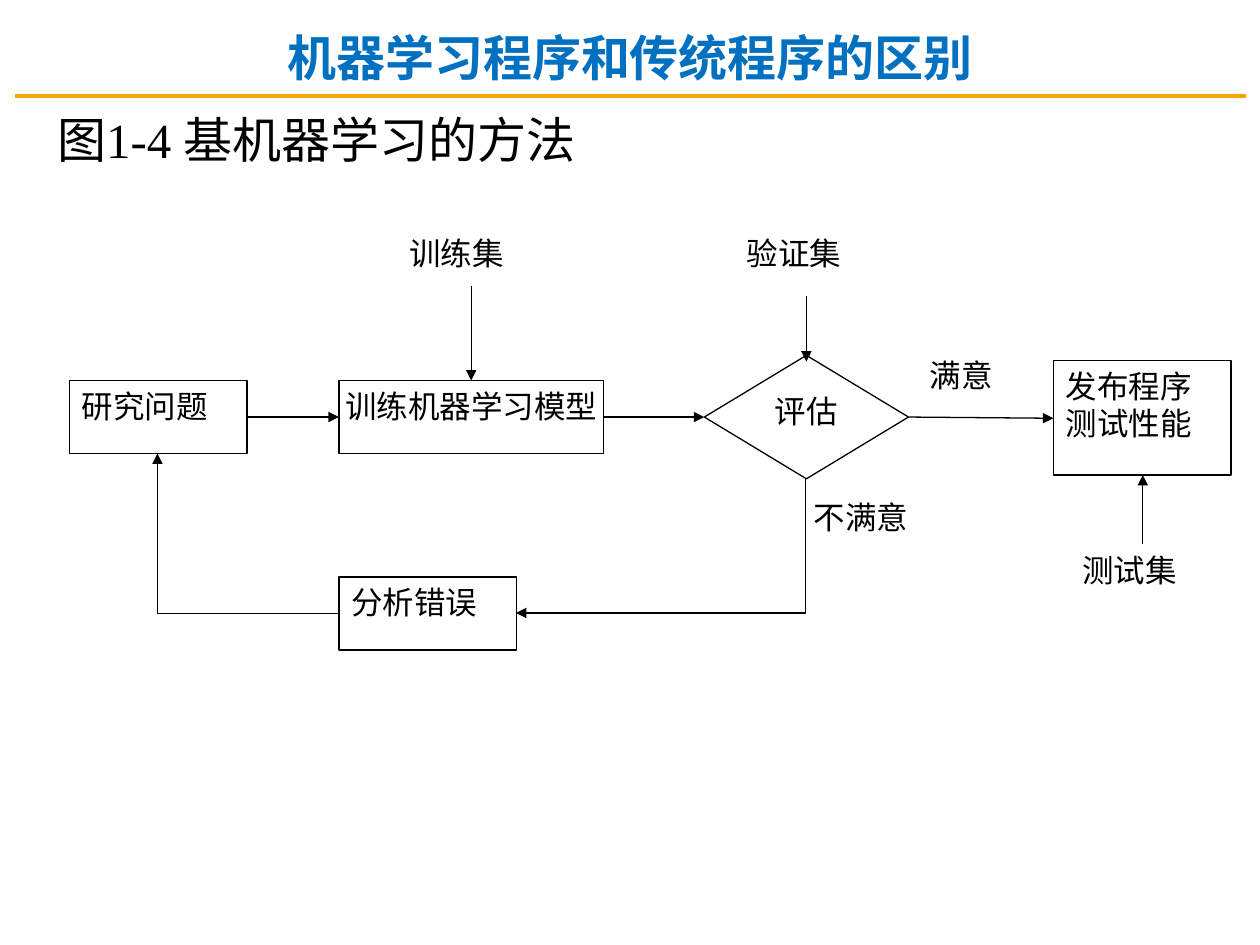
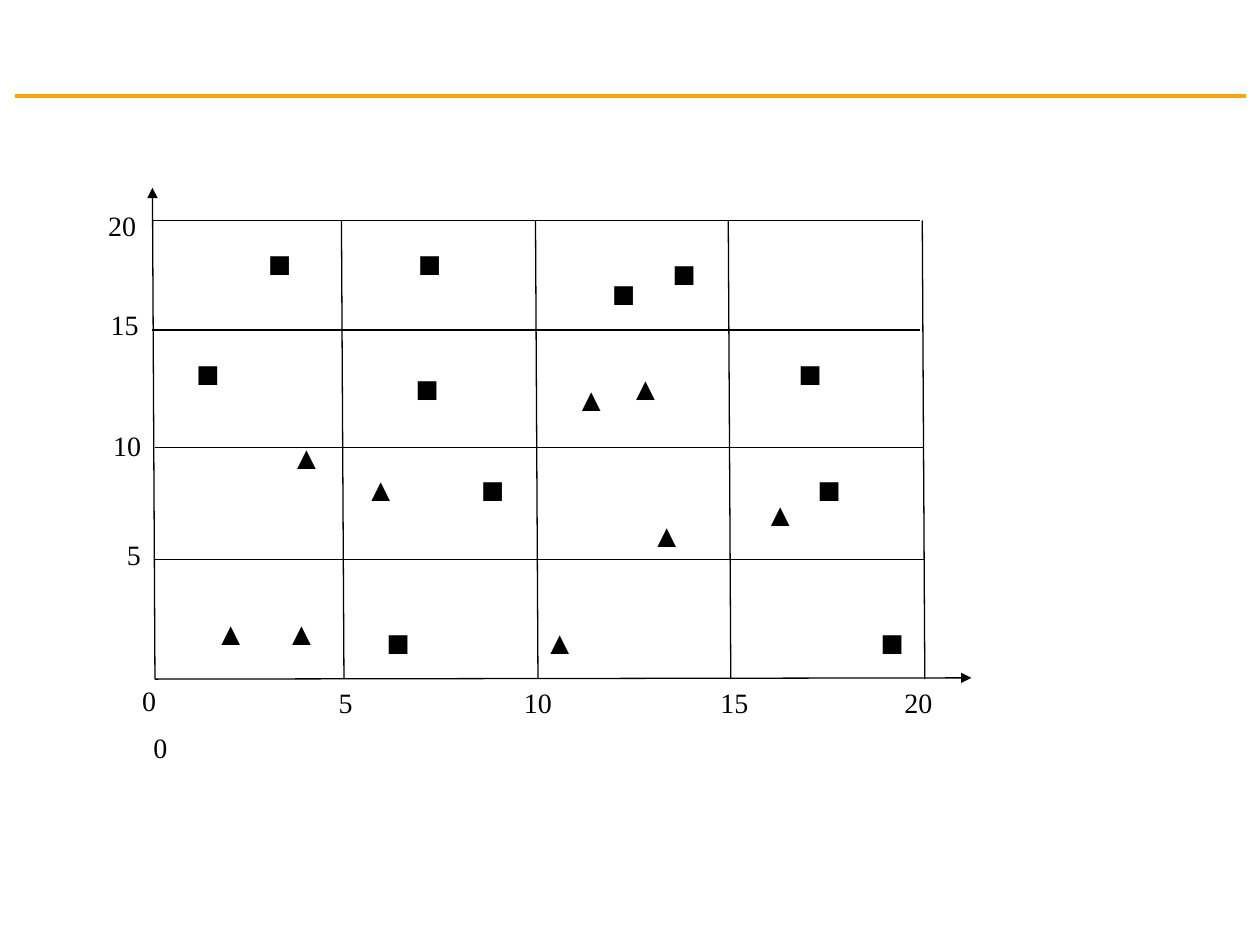
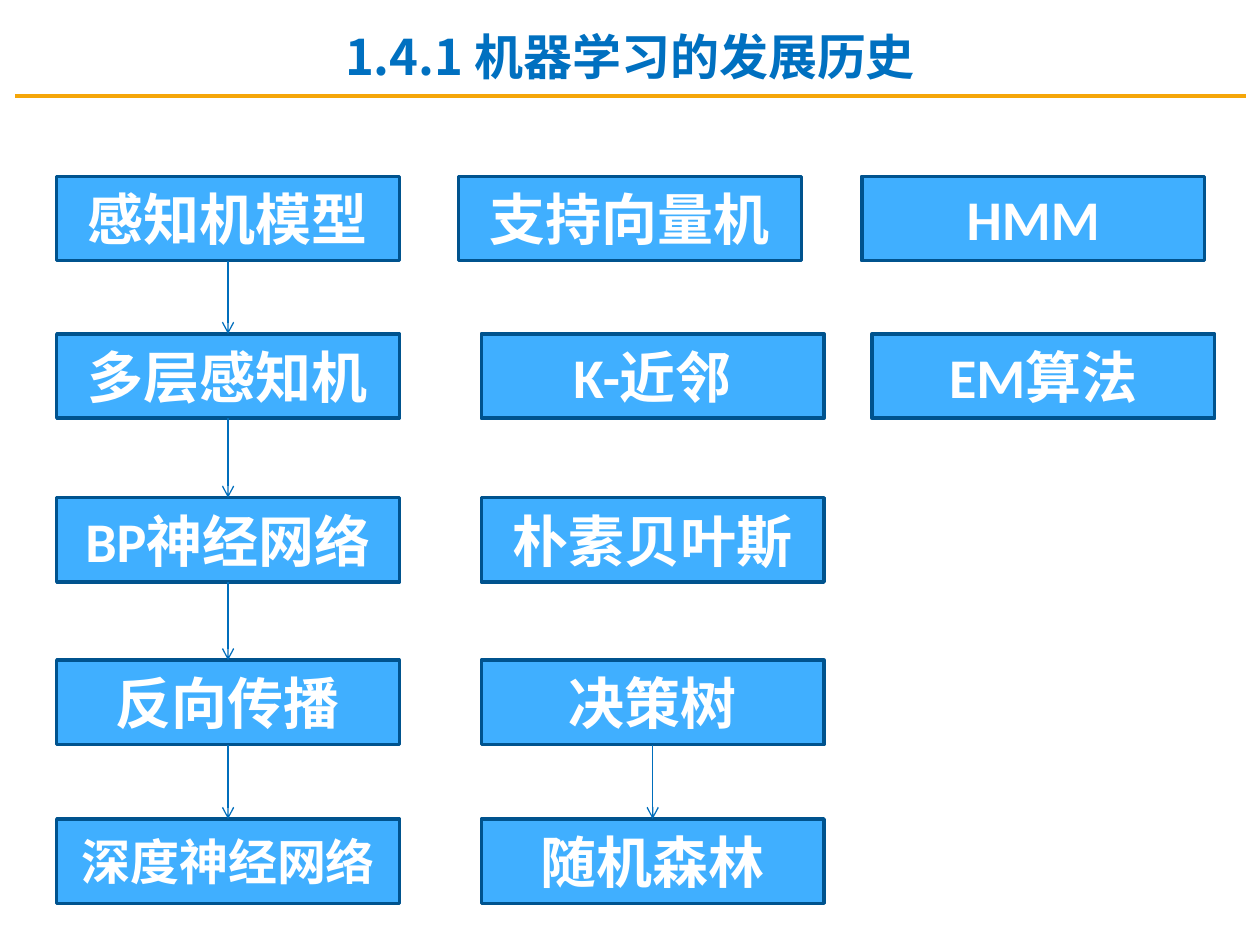
from pptx import Presentation
from pptx.dml.color import RGBColor
from pptx.enum.shapes import MSO_CONNECTOR, MSO_SHAPE
from pptx.enum.text import MSO_ANCHOR, PP_ALIGN
from pptx.oxml.ns import qn
from pptx.util import Inches, Pt
from lxml import etree

LEFT, CENTER = PP_ALIGN.LEFT, PP_ALIGN.CENTER
TOP, MIDDLE = MSO_ANCHOR.TOP, MSO_ANCHOR.MIDDLE
RECT, DIAMOND = MSO_SHAPE.RECTANGLE, MSO_SHAPE.DIAMOND
STRAIGHT, ELBOW = MSO_CONNECTOR.STRAIGHT, MSO_CONNECTOR.ELBOW
COLORS = {
    "rule": "F5A609", "title": "0070C0", "ink": "000000", "paper": "FFFFFF",
    "box": "40AFFF", "box_line": "00538E", "arrow": "006EBC",
}
CJK, SERIF, SANS = "Noto Sans CJK SC", "Times New Roman", "Calibri"

FLOW_TITLE = "机器学习程序和传统程序的区别"
FLOW_CAPTION = "图1-4 基机器学习的方法"
FLOW_BOXES = [
    ("研究问题", (0.55, 3.02, 1.41, 0.58), RECT, LEFT, 0.1),
    ("训练机器学习模型", (2.69, 3.02, 2.1, 0.58), RECT, CENTER, 0),
    ("分析错误", (2.69, 4.58, 1.41, 0.58), RECT, LEFT, 0.1),
    ("评估", (5.59, 2.82, 1.62, 0.98), DIAMOND, CENTER, 0.1),
    ("发布程序\v测试性能", (8.36, 2.86, 1.41, 0.91), RECT, LEFT, 0.1),
]
FLOW_LABELS = [
    ("满意", 7.28, 2.78), ("不满意", 6.36, 3.9), ("训练集", 3.15, 1.81),
    ("验证集", 5.83, 1.81), ("测试集", 8.49, 4.32),
]
FLOW_ARROWS = [
    (1.96, 3.31, 2.69, 3.31), (4.79, 3.31, 5.59, 3.31), (7.21, 3.31, 8.36, 3.32),
    (3.74, 2.27, 3.74, 3.02), (6.4, 2.35, 6.4, 2.87), (9.07, 4.32, 9.07, 3.77),
]
FLOW_ELBOWS = [((4.71, 3.18, 5.78, 5.48), 90), ((2.69, 4.87, 1.25, 3.6), 0)]

AXES = [(1.23, 5.39, 7.71, 5.38), (1.23, 5.39, 1.21, 1.49)]
GRID_X = [2.73, 4.27, 5.8, 7.34]
GRID_ROWS = [(1.23, 7.34, 4.44), (1.23, 7.33, 3.55), (1.21, 7.3, 2.62), (1.21, 7.3, 1.75)]
TICKS = [
    ("0", 1.12, 5.75), ("0", 1.03, 5.38),
    ("5", 2.59, 5.39), ("10", 4.06, 5.39), ("15", 5.62, 5.39), ("20", 7.08, 5.39),
    ("5", 0.91, 4.22), ("10", 0.8, 3.35), ("15", 0.78, 2.39), ("20", 0.76, 1.61),
]
MARKERS = {
    "■": [(2.03, 1.92), (1.46, 2.79), (2.97, 4.93), (3.22, 1.92), (3.72, 3.71), (3.2, 2.91),
          (4.76, 2.16), (5.24, 2), (6.39, 3.71), (6.24, 2.79), (6.89, 4.93)],
    "▲": [(1.66, 4.86), (2.22, 4.86), (2.26, 3.46), (2.85, 3.71), (4.27, 4.93), (4.52, 3),
          (4.95, 2.91), (5.12, 4.08), (6.02, 3.91)],
}

HISTORY_TITLE = "1.4.1 机器学习的发展历史"
BOX_W, BOX_H = 2.72, 0.67
ROW_Y = [1.4, 2.65, 3.95, 5.24, 6.5]
HISTORY = [
    ("感知机模型", 0.45, 0, 32), ("多层感知机", 0.45, 1, 32), ("BP神经网络", 0.45, 2, 32),
    ("反向传播", 0.45, 3, 32), ("深度神经网络", 0.45, 4, 28),
    ("支持向量机", 3.64, 0, 32), ("K-近邻", 3.82, 1, 32), ("朴素贝叶斯", 3.82, 2, 32),
    ("决策树", 3.82, 3, 32), ("随机森林", 3.82, 4, 32),
    ("HMM", 6.84, 0, 32), ("EM算法", 6.92, 1, 32),
]
HISTORY_ARROWS = [(0.45, row) for row in range(4)] + [(3.82, 3)]


def rgb(name):
    return RGBColor.from_string(COLORS[name])


def write(shape, text, size, font, color="ink", bold=False, align=LEFT, anchor=TOP):
    tf = shape.text_frame
    tf.word_wrap = True
    tf.vertical_anchor = anchor
    tf.text = text
    for p in tf.paragraphs:
        p.alignment = align
        for r in p.runs:
            r.font.size = Pt(size)
            r.font.bold = bold
            r.font.color.rgb = rgb(color)
            r.font.name = font
            etree.SubElement(r.font._element, qn("a:ea"), typeface=CJK)


def add_text(s, text, box, size, font, **style):
    write(s.shapes.add_textbox(*map(Inches, box)), text, size, font, **style)


def add_box(s, kind, box, fill, line, width):
    sp = s.shapes.add_shape(kind, *map(Inches, box))
    sp.shadow.inherit = False
    sp.fill.solid()
    sp.fill.fore_color.rgb = rgb(fill)
    sp.line.color.rgb = rgb(line)
    sp.line.width = Pt(width)
    return sp


def add_line(s, ends, color="ink", width=0.75, tail=None, kind=STRAIGHT):
    c = s.shapes.add_connector(kind, *map(Inches, ends))
    c.line.color.rgb = rgb(color)
    c.line.width = Pt(width)
    props = c._element.spPr
    if tail:
        etree.SubElement(props.find(qn("a:ln")), qn("a:tailEnd"), type=tail)
    etree.SubElement(props, qn("a:effectLst"))
    return c


def new_slide(prs, title=None, title_y=0.17):
    s = prs.slides.add_slide(prs.slide_layouts[6])
    add_line(s, (0.12, 0.76, 9.89, 0.76), "rule", 2)
    if title:
        add_text(s, title, (0, title_y, 10, 0.57), 28, CJK,
                 color="title", bold=True, align=CENTER)
    return s


def flow_slide(prs):
    s = new_slide(prs, FLOW_TITLE)
    for text, box, kind, align, inset in FLOW_BOXES:
        sp = add_box(s, kind, box, "paper", "ink", 0.75)
        sp.text_frame.margin_left = sp.text_frame.margin_right = Inches(inset)
        write(sp, text, 18, SERIF, align=align)
    for ends in FLOW_ARROWS:
        add_line(s, ends, tail="triangle")
    for ends, turn in FLOW_ELBOWS:
        c = add_line(s, ends, tail="triangle", kind=ELBOW)
        c._element.spPr.find(qn("a:prstGeom")).set("prst", "bentConnector2")
        c.rotation = turn
    for text, x, y in FLOW_LABELS:
        add_text(s, text, (x, y, 1.16, 0.55), 18, SERIF)
    add_text(s, FLOW_CAPTION, (0.33, 0.82, 4.36, 0.57), 28, SERIF, align=CENTER, anchor=MIDDLE)


def scatter_slide(prs):
    s = new_slide(prs)
    for ends in AXES:
        add_line(s, ends, tail="triangle")
    for x in GRID_X:
        add_line(s, (x, 5.39, x - 0.02, 1.75))
    for x1, x2, y in GRID_ROWS:
        add_line(s, (x1, y, x2, y))
    for text, x, y in TICKS:
        add_text(s, text, (x, y, 0.21 + 0.16 * len(text), 0.46), 16, SERIF)
    for mark, places in MARKERS.items():
        for x, y in places:
            add_text(s, mark, (x, y, 0.37, 0.46), 14, SANS)


def history_slide(prs):
    s = new_slide(prs, HISTORY_TITLE, 0.16)
    for text, x, row, size in HISTORY:
        sp = add_box(s, RECT, (x, ROW_Y[row], BOX_W, BOX_H), "box", "box_line", 2)
        write(sp, text, size, SANS, color="paper", bold=True, align=CENTER, anchor=MIDDLE)
    for x, row in HISTORY_ARROWS:
        mid = x + BOX_W / 2
        add_line(s, (mid, ROW_Y[row] + BOX_H, mid, ROW_Y[row + 1]), "arrow", tail="arrow")


def main():
    prs = Presentation()
    prs.slide_width, prs.slide_height = Inches(10), Inches(7.5)
    flow_slide(prs)
    scatter_slide(prs)
    history_slide(prs)
    prs.save("out.pptx")


if __name__ == "__main__":
    main()
